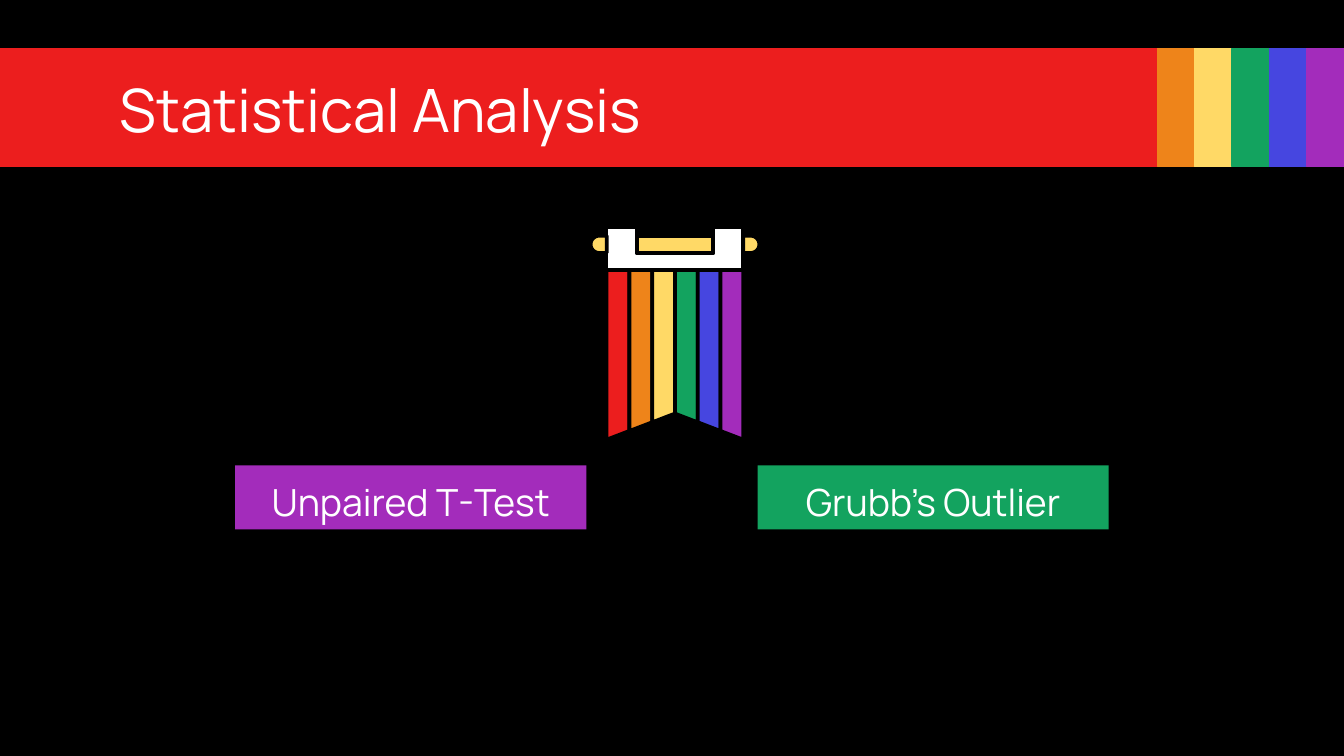
"""Build the Statistical Analysis slide with its rainbow header and banner."""
from math import cos, radians, sin

from pptx import Presentation
from pptx.dml.color import RGBColor
from pptx.enum import shapes, text
from pptx.util import Pt

BLACK = RGBColor(0x00, 0x00, 0x00)
WHITE = RGBColor(0xFF, 0xFF, 0xFF)
RED = RGBColor(0xEC, 0x1E, 0x1E)
ORANGE = RGBColor(0xEE, 0x84, 0x1A)
YELLOW = RGBColor(0xFF, 0xD9, 0x66)
GREEN = RGBColor(0x13, 0xA3, 0x5F)
BLUE = RGBColor(0x46, 0x46, 0xE0)
PURPLE = RGBColor(0xA3, 0x2C, 0xBB)
RAINBOW = [RED, ORANGE, YELLOW, GREEN, BLUE, PURPLE]


def paint(shape, fill, line, width):
    shape.shadow.inherit = False
    shape.fill.solid()
    shape.fill.fore_color.rgb = fill
    shape.line.color.rgb = line
    shape.line.width = Pt(width)


def outline(points, fill):
    points = [(Pt(x), Pt(y)) for x, y in points]
    form = slide.shapes.build_freeform(*points[0])
    form.add_line_segments(points[1:], close=True)
    paint(form.convert_to_shape(), fill, BLACK, 2)


deck = Presentation()
deck.slide_width, deck.slide_height = Pt(720), Pt(405)
slide = deck.slides.add_slide(deck.slide_layouts[5])
slide.background.fill.solid()
slide.background.fill.fore_color.rgb = BLACK

edge, bar = 620, 20
for i, color in enumerate(RAINBOW):
    left, width = (edge + (i - 1) * bar, bar) if i else (0, edge)
    box = slide.shapes.add_shape(
        shapes.MSO_SHAPE.RECTANGLE, Pt(left), Pt(26), Pt(width), Pt(63.2))
    paint(box, color, color, 0.75)

title = slide.shapes.title
title.left, title.top, title.width, title.height = Pt(57), Pt(35.5), Pt(607), Pt(45)
slide.shapes._spTree.append(title._element)
frame = title.text_frame
frame.text = "Statistical Analysis"
frame.vertical_anchor = text.MSO_ANCHOR.MIDDLE
frame.auto_size = text.MSO_AUTO_SIZE.NONE
frame.margin_left = frame.margin_right = frame.margin_top = frame.margin_bottom = Pt(7.2)
head = frame.paragraphs[0]
head.alignment = text.PP_ALIGN.LEFT
head.font.name, head.font.size = "Manrope", Pt(32)
head.font.color.rgb = WHITE

for left, label, color in [(126, "Unpaired T-Test", PURPLE), (405.8, "Grubb’s Outlier", GREEN)]:
    box = slide.shapes.add_shape(
        shapes.MSO_SHAPE.RECTANGLE, Pt(left), Pt(249.3), Pt(188.2), Pt(34.4))
    paint(box, color, color, 0.75)
    box.line.fill.background()
    frame = box.text_frame
    frame.text = label
    frame.vertical_anchor = text.MSO_ANCHOR.TOP
    frame.margin_left = frame.margin_right = frame.margin_top = frame.margin_bottom = Pt(7.2)
    para = frame.paragraphs[0]
    para.alignment = text.PP_ALIGN.CENTER
    para.font.name, para.font.size = "Manrope", Pt(20)
    para.font.color.rgb = WHITE

mid, half, grip = 361.6, 36.6, 20.4
top, hem = 121.7, 144.7
rod, low = 126.3, 135.5
outline([(mid - half, top), (mid - half, hem), (mid + half, hem), (mid + half, top),
         (mid + grip, top), (mid + grip, low), (mid - grip, low), (mid - grip, top)], WHITE)

radius = (low - rod) / 2
for side in (-1, 1):
    curve = [(mid + side * (half + 4 + radius * cos(radians(a))),
              rod + radius + radius * sin(radians(a))) for a in range(-90, 91, 10)]
    outline([(mid + side * half, rod), *curve, (mid + side * half, low)], YELLOW)
outline([(mid - grip, rod), (mid + grip, rod), (mid + grip, low), (mid - grip, low)], YELLOW)

strip = half / 3
peak, drop = 221.6, 4.65
for i, color in enumerate(RAINBOW):
    left = mid + (i - 3) * strip
    right = left + strip
    outline([(left, hem), (left, peak + abs(i - 3) * drop),
             (right, peak + abs(i - 2) * drop), (right, hem)], color)

deck.save("out.pptx")
